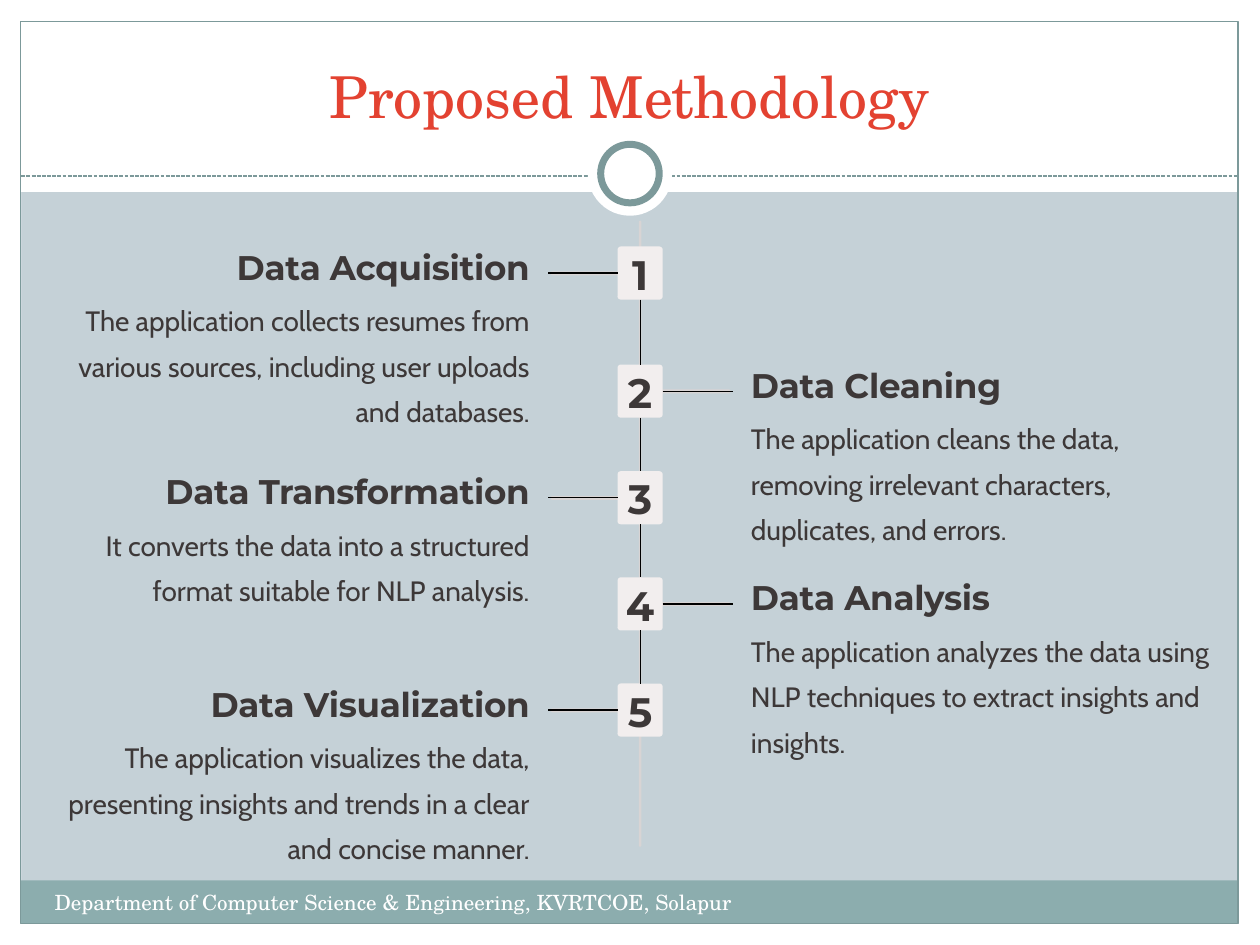
"""Builds the Proposed Methodology slide: a five-step vertical timeline."""
from dataclasses import dataclass

from pptx import Presentation
from pptx.dml.color import RGBColor
from pptx.enum import dml, shapes, text
from pptx.oxml.ns import qn
from pptx.util import Cm, Pt


@dataclass
class Theme:
    background: str = "C5D1D7"
    paper: str = "FFFFFF"
    footer_band: str = "8CADAE"
    frame: str = "7C999A"
    title: str = "E34231"
    track: str = "D8D4D4"
    badge: str = "F2EEEE"
    ink: str = "3D3838"
    connector: str = "000000"
    serif: str = "TeX Gyre Schola"
    display: str = "Montserrat"
    sans: str = "Cabin"
    title_size: float = 33
    footer_size: float = 12
    number_size: float = 23.5
    heading_size: float = 19.5
    body_size: float = 16


theme = Theme()
KIND = shapes.MSO_SHAPE
ALIGN = text.PP_ALIGN

prs = Presentation()
prs.slide_width, prs.slide_height = Cm(25.4), Cm(19.05)
slide = prs.slides.add_slide(prs.slide_layouts[5])
slide.background.fill.solid()
slide.background.fill.fore_color.rgb = RGBColor.from_string(theme.background)


def draw(kind, left, top, width, height, fill=None, line=None, weight=0.75):
    shape = slide.shapes.add_shape(kind, Cm(left), Cm(top), Cm(width), Cm(height))
    shape.shadow.inherit = False
    if fill:
        shape.fill.solid()
        shape.fill.fore_color.rgb = RGBColor.from_string(fill)
    else:
        shape.fill.background()
    if line:
        shape.line.color.rgb = RGBColor.from_string(line)
        shape.line.width = Pt(weight)
    else:
        shape.line.fill.background()
    return shape


def write(shape, wording, font, size, color, align, spacing=None, wrap=True, strong=False):
    frame = shape.text_frame
    frame.text = wording
    frame.word_wrap = wrap
    paragraph = frame.paragraphs[0]
    paragraph.alignment = align
    if spacing:
        paragraph.line_spacing = Pt(spacing)
        frame.margin_left = frame.margin_right = frame.margin_top = frame.margin_bottom = 0
    run = paragraph.runs[0]
    run.font.name, run.font.size, run.font.bold = font, Pt(size), strong
    run.font.color.rgb = RGBColor.from_string(color)
    if strong:
        run._r.get_or_add_rPr().set("spc", "-20")


for left, top, width, height, fill in [
    (0, 18.62, 25.4, 0.43, theme.paper),
    (0, 0, 25.4, 3.87, theme.paper),
    (0, 0, 0.43, 19.05, theme.paper),
    (24.97, 0, 0.43, 19.05, theme.paper),
    (0.42, 17.75, 24.54, 0.87, theme.footer_band),
]:
    draw(KIND.RECTANGLE, left, top, width, height, fill)
draw(KIND.RECTANGLE, 0.42, 0.43, 24.54, 18.19, line=theme.frame)

title_rule = slide.shapes.add_connector(
    shapes.MSO_CONNECTOR.STRAIGHT, Cm(0.43), Cm(3.55), Cm(24.97), Cm(3.55))
title_rule.line.dash_style = dml.MSO_LINE.SQUARE_DOT
draw(KIND.OVAL, 11.85, 2.65, 1.7, 1.7, theme.paper)
draw(KIND.OVAL, 12.11, 2.91, 1.18, 1.18, theme.paper, theme.frame, 4)

title = slide.shapes.title
slide.shapes.element.append(title.element)
title.left, title.top, title.width, title.height = Cm(0.84), Cm(0.62), Cm(23.7), Cm(2.12)
write(title, "Proposed Methodology", theme.serif, theme.title_size, theme.title, ALIGN.CENTER)
title.text_frame.vertical_anchor = text.MSO_ANCHOR.BOTTOM

footer = slide.shapes.add_textbox(Cm(0.85), Cm(17.8), Cm(14.82), Cm(1.02))
write(footer, "Department of Computer Science & Engineering, KVRTCOE, Solapur",
      theme.serif, theme.footer_size, theme.paper, ALIGN.LEFT)

spine = draw(KIND.ROUNDED_RECTANGLE, 12.88, 4.45, 0.05, 12.62, theme.track)
spine.adjustments[0] = 0.5

steps = [
    (4.97, "Data Acquisition",
     "The application collects resumes from various sources, including user uploads and databases."),
    (7.35, "Data Cleaning",
     "The application cleans the data, removing irrelevant characters, duplicates, and errors."),
    (9.5, "Data Transformation",
     "It converts the data into a structured format suitable for NLP analysis."),
    (11.64, "Data Analysis",
     "The application analyzes the data using NLP techniques to extract insights and insights."),
    (13.78, "Data Visualization",
     "The application visualizes the data, presenting insights and trends in a clear and concise manner."),
]
column_width = 9.63
links = []
previous_badge = None
for number, (top, heading, body) in enumerate(steps, 1):
    on_left = number % 2 == 1
    align = ALIGN.RIGHT if on_left else ALIGN.LEFT
    column_left = 10.68 - column_width if on_left else 15.14

    tick = draw(KIND.ROUNDED_RECTANGLE, 11.1 if on_left else 13.31, top + 0.5, 1.42, 0.08, theme.track)
    tick.adjustments[0] = 0.5
    badge = draw(KIND.ROUNDED_RECTANGLE, 12.45, top, 0.91, 1.07, theme.badge)
    badge.adjustments[0] = 0.07
    write(badge, str(number), theme.display, theme.number_size, theme.ink, ALIGN.CENTER,
          spacing=23.5, wrap=False, strong=True)
    badge.text_frame.vertical_anchor = text.MSO_ANCHOR.TOP
    badge.text_frame.margin_top = Cm(0.2)

    heading_box = slide.shapes.add_textbox(
        Cm(column_left), Cm(top - 0.05), Cm(column_width), Cm(0.69))
    write(heading_box, heading, theme.display, theme.heading_size, theme.ink, align,
          spacing=24.5, strong=True)
    body_box = slide.shapes.add_textbox(
        Cm(column_left), Cm(top + 0.91), Cm(column_width), Cm(1.42))
    write(body_box, body, theme.sans, theme.body_size, theme.ink, align, spacing=26)

    lead_end, side = (11.05, 1) if on_left else (14.78, 3)
    middle = Cm(top + 1.07 / 2)
    lead = slide.shapes.add_connector(
        shapes.MSO_CONNECTOR.STRAIGHT, Cm(12.45), middle, Cm(lead_end), middle)
    lead.begin_connect(badge, side)
    links.append(lead)
    if previous_badge:
        link = slide.shapes.add_connector(shapes.MSO_CONNECTOR.STRAIGHT, 0, 0, 0, 0)
        link.begin_connect(previous_badge, 2)
        link.end_connect(badge, 0)
        links.append(link)
    previous_badge = badge

for line, color in [(title_rule, theme.frame)] + [(link, theme.connector) for link in links]:
    line.line.color.rgb = RGBColor.from_string(color)
    line.line.width = Pt(0.75)
    properties = line.element.spPr
    properties.append(properties.makeelement(qn("a:effectLst"), {}))

prs.save("out.pptx")
